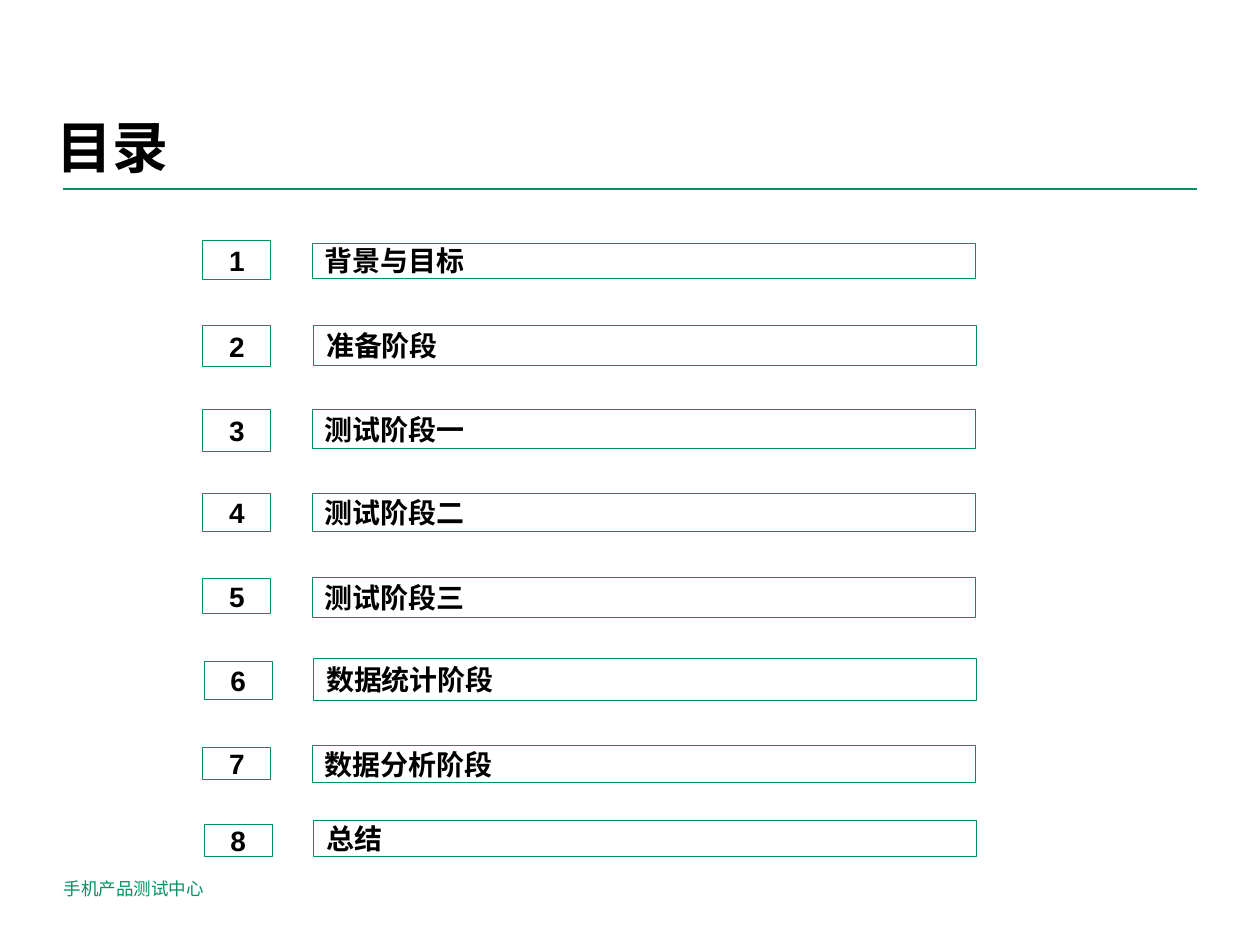
"""Build the contents slide with eight numbered entries."""
from dataclasses import dataclass

from lxml.etree import SubElement
from pptx import Presentation
from pptx.dml.color import RGBColor
from pptx.enum.shapes import MSO_CONNECTOR, MSO_SHAPE
from pptx.enum.text import MSO_ANCHOR, MSO_AUTO_SIZE, PP_ALIGN
from pptx.oxml.ns import qn
from pptx.slide import Slide
from pptx.text.text import TextFrame
from pptx.util import Inches, Pt

GREEN = RGBColor(0x00, 0x92, 0x5F)
WHITE = RGBColor(0xFF, 0xFF, 0xFF)
BLACK = RGBColor(0x00, 0x00, 0x00)

TITLE_FONT = {"name": "Arial", "size": Pt(32), "bold": True}
ENTRY_FONT = {"name": "Arial", "size": Pt(16), "bold": True}
FOOTER_FONT = {"name": "Cabin", "size": Pt(10), "bold": False}

NUMBER_WIDTH = 0.54
LABEL_WIDTH = 5.26


@dataclass(frozen=True)
class Span:
    """Left, top and height of a box in inches."""

    left: float
    top: float
    height: float


@dataclass(frozen=True)
class Entry:
    """One line of the contents."""

    label: str
    number_span: Span
    label_span: Span


ENTRIES = [
    Entry("背景与目标", Span(1.61, 1.91, 0.31), Span(2.48, 1.93, 0.28)),
    Entry("准备阶段", Span(1.61, 2.58, 0.33), Span(2.49, 2.58, 0.32)),
    Entry("测试阶段一", Span(1.61, 3.25, 0.33), Span(2.48, 3.25, 0.31)),
    Entry("测试阶段二", Span(1.61, 3.92, 0.3), Span(2.48, 3.92, 0.3)),
    Entry("测试阶段三", Span(1.61, 4.59, 0.28), Span(2.48, 4.58, 0.32)),
    Entry("数据统计阶段", Span(1.62, 5.25, 0.3), Span(2.49, 5.23, 0.33)),
    Entry("数据分析阶段", Span(1.61, 5.93, 0.26), Span(2.48, 5.92, 0.29)),
    Entry("总结", Span(1.62, 6.54, 0.26), Span(2.49, 6.51, 0.29)),
]


def write_text(frame: TextFrame, text: str, font_format: dict, color: RGBColor,
               alignment: PP_ALIGN = PP_ALIGN.LEFT,
               anchor: MSO_ANCHOR = MSO_ANCHOR.TOP) -> None:
    """Fill a text frame with one formatted paragraph."""
    frame.word_wrap = True
    frame.auto_size = MSO_AUTO_SIZE.NONE
    frame.vertical_anchor = anchor
    para = frame.paragraphs[0]
    para.alignment = alignment
    run = para.add_run()
    run.text = text
    for name, value in font_format.items():
        setattr(run.font, name, value)
    run.font.color.rgb = color


def add_title(slide: Slide, text: str) -> None:
    """Place the slide title."""
    title = slide.shapes.title
    title.left, title.top = Inches(0.45), Inches(0.9)
    title.width, title.height = Inches(9), Inches(0.54)
    write_text(title.text_frame, text, TITLE_FONT, BLACK)
    title.text_frame.margin_left = 0
    title.text_frame.paragraphs[0].line_spacing = 0.9


def add_rule(slide: Slide) -> None:
    """Draw the line under the title."""
    rule = slide.shapes.add_connector(
        MSO_CONNECTOR.STRAIGHT, Inches(0.5), Inches(1.5), Inches(9.5), Inches(1.5))
    rule.line.color.rgb = GREEN
    rule.line.width = Pt(1)
    SubElement(rule._element.spPr, qn("a:effectLst"))


def add_box(slide: Slide, span: Span, width: float, text: str,
            alignment: PP_ALIGN) -> None:
    """Draw one outlined box with text."""
    box = slide.shapes.add_shape(
        MSO_SHAPE.RECTANGLE, Inches(span.left), Inches(span.top),
        Inches(width), Inches(span.height))
    box.shadow.inherit = False
    box.fill.solid()
    box.fill.fore_color.rgb = WHITE
    box.line.color.rgb = GREEN
    box.line.width = Pt(0.5)
    write_text(box.text_frame, text, ENTRY_FONT, BLACK, alignment, MSO_ANCHOR.MIDDLE)


def add_footer(slide: Slide, text: str) -> None:
    """Write the department name at the bottom."""
    footer = slide.shapes.add_textbox(
        Inches(0.41), Inches(6.92), Inches(3.17), Inches(0.4))
    write_text(footer.text_frame, text, FOOTER_FONT, GREEN)


def main() -> None:
    """Build and save the deck."""
    deck = Presentation()
    deck.slide_width, deck.slide_height = Inches(10), Inches(7.5)
    page = deck.slides.add_slide(deck.slide_layouts.get_by_name("Title Only"))
    add_rule(page)
    add_footer(page, "手机产品测试中心")
    add_title(page, "目录")
    for number, entry in enumerate(ENTRIES, start=1):
        add_box(page, entry.number_span, NUMBER_WIDTH, str(number), PP_ALIGN.CENTER)
        add_box(page, entry.label_span, LABEL_WIDTH, entry.label, PP_ALIGN.LEFT)
    deck.save("out.pptx")


if __name__ == "__main__":
    main()
